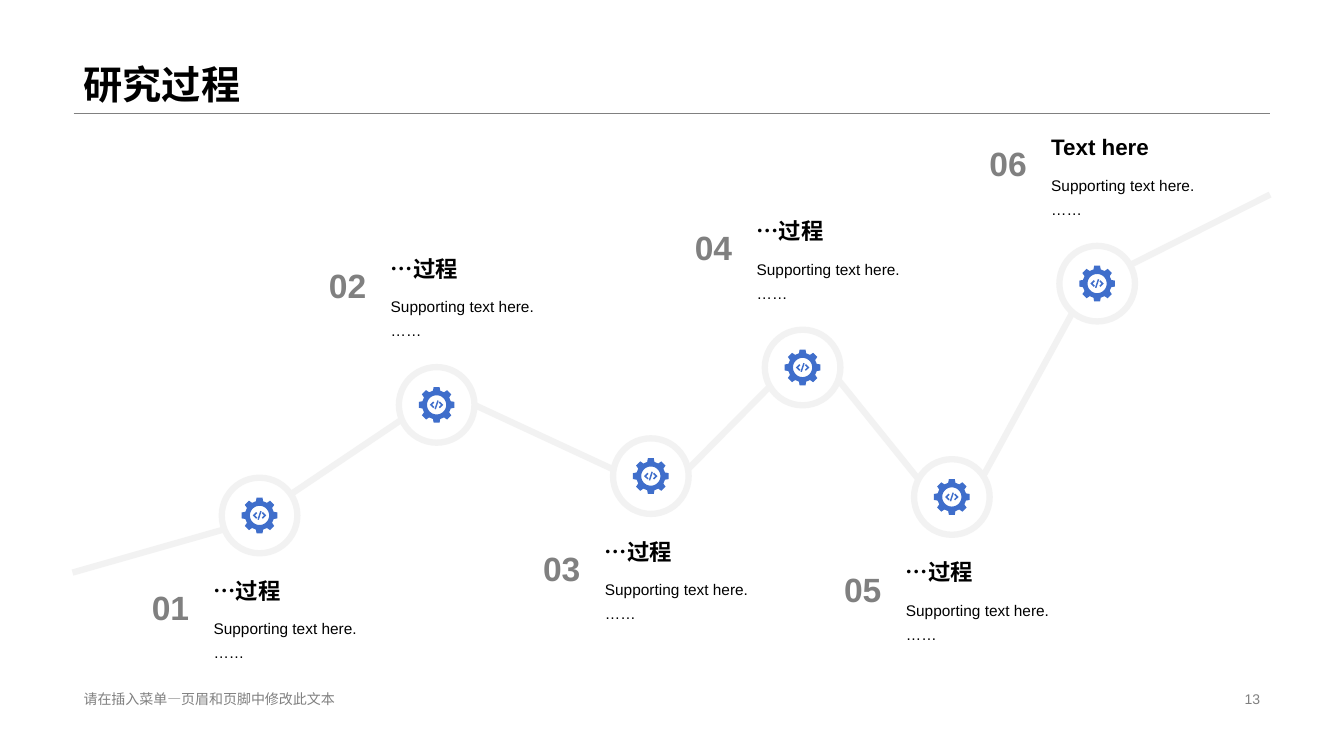
from math import cos, pi, sin

from lxml.etree import SubElement
from pptx import Presentation
from pptx.dml.color import RGBColor
from pptx.enum.shapes import MSO_CONNECTOR, MSO_SHAPE
from pptx.enum.text import MSO_ANCHOR, MSO_AUTO_SIZE, PP_ALIGN
from pptx.oxml.ns import qn
from pptx.util import Pt

COLORS = {"text": "000000", "muted": "808080", "path": "F2F2F2", "gear": "3F6ECB"}
FONT = "Arial"
MARGIN, CONTENT_W = 52.6, 854.6
NODE_SIZE = 54

STEPS = [
    (185.4, 368.2, "…过程", "below"),
    (311.9, 289.2, "…过程", "above"),
    (464.9, 340.1, "…过程", "below"),
    (573.3, 262.5, "…过程", "above"),
    (679.9, 355, "…过程", "below"),
    (783.7, 202.6, "Text here", "above"),
]
SEGMENTS = [
    (51.8, 409, 160.6, 378),
    (208.1, 352.8, 287.3, 299.5),
    (337.7, 288.7, 438.5, 335.5),
    (491.8, 334.8, 550.1, 275.8),
    (598.3, 270.7, 655.2, 341.3),
    (702, 340.6, 766.1, 223.2),
    (807.1, 189.4, 907.2, 139),
]


def rgb(name):
    """Return the palette colour called name."""
    return RGBColor.from_string(COLORS[name])


def write(tf, lines, size, color="text", bold=False, align=PP_ALIGN.LEFT,
          anchor=MSO_ANCHOR.TOP, spacing=None):
    """Fill a text frame with one paragraph per line."""
    tf.word_wrap = True
    tf.auto_size = MSO_AUTO_SIZE.NONE
    tf.vertical_anchor = anchor
    for i, line in enumerate(lines):
        p = tf.add_paragraph() if i else tf.paragraphs[0]
        p.alignment = align
        p.line_spacing = spacing
        r = p.add_run()
        r.text = line
        r.font.name = FONT
        r.font.size = Pt(size)
        r.font.bold = bold
        r.font.color.rgb = rgb(color)


def add_text(s, x, y, w, h, lines, size, **style):
    """Add a text box at the given place."""
    sp = s.shapes.add_textbox(Pt(x), Pt(y), Pt(w), Pt(h))
    write(sp.text_frame, lines, size, **style)


def add_line(s, x1, y1, x2, y2, color, width):
    """Add a straight line without shadow."""
    line = s.shapes.add_connector(MSO_CONNECTOR.STRAIGHT, Pt(x1), Pt(y1), Pt(x2), Pt(y2))
    line.line.color.rgb = rgb(color)
    line.line.width = Pt(width)
    SubElement(line._element.spPr, qn("a:effectLst"))


def add_header(s, x, y, w, h):
    """Place the title and the rule under it."""
    add_line(s, x, y + h, x + w, y + h, "muted", 0.25)
    sp = s.shapes.title
    sp.left, sp.top, sp.width, sp.height = Pt(x), Pt(y), Pt(w), Pt(h)
    write(sp.text_frame, ["研究过程"], 28, bold=True, anchor=MSO_ANCHOR.BOTTOM, spacing=0.9)


def add_footer(s, x, y, w, h):
    """Place the footer text and the page number."""
    number_w = 229
    add_text(s, x, y, 326, h, ["请在插入菜单—页眉和页脚中修改此文本"], 10,
             color="muted", anchor=MSO_ANCHOR.MIDDLE)
    add_text(s, x + w - number_w, y, number_w, h, ["13"], 10,
             color="muted", align=PP_ALIGN.RIGHT, anchor=MSO_ANCHOR.MIDDLE)


def gear_contours():
    """Return the outlines of a code gear centred on the origin."""
    tooth = [(-2.6, -10.1), (-2.1, -12.75), (2.1, -12.75), (2.6, -10.1)]
    turns = [k * pi / 4 for k in range(8)]
    teeth = [(x * cos(a) - y * sin(a), x * sin(a) + y * cos(a)) for a in turns for x, y in tooth]
    hole = [(6.85 * cos(k * pi / 24), -6.85 * sin(k * pi / 24)) for k in range(48)]
    right = [(2.4, -2.4), (4.8, 0), (2.4, 2.4), (1.6, 1.6), (3.2, 0), (1.6, -1.6)]
    left = [(-x, y) for x, y in reversed(right)]
    slash = [(0.5, -3.2), (1.5, -2.9), (-0.5, 3.2), (-1.5, 2.9)]
    return [teeth, hole, right, left, slash]


def add_gear(s, cx, cy):
    """Draw a gear with a code sign, centred on a point."""
    fb = None
    for contour in gear_contours():
        points = [(Pt(cx + x), Pt(cy + y)) for x, y in contour]
        if fb is None:
            fb = s.shapes.build_freeform(*points[0])
        else:
            fb.move_to(*points[0])
        fb.add_line_segments(points[1:], close=True)
    sp = fb.convert_to_shape()
    sp.shadow.inherit = False
    sp.fill.solid()
    sp.fill.fore_color.rgb = rgb("gear")
    sp.line.fill.background()


def add_node(s, cx, cy):
    """Draw a ring with a gear inside."""
    sp = s.shapes.add_shape(MSO_SHAPE.OVAL, Pt(cx - NODE_SIZE / 2), Pt(cy - NODE_SIZE / 2),
                            Pt(NODE_SIZE), Pt(NODE_SIZE))
    sp.shadow.inherit = False
    sp.fill.background()
    sp.line.color.rgb = rgb("path")
    sp.line.width = Pt(4.5)
    add_gear(s, cx, cy)


def add_label(s, x, y, number, heading):
    """Place a step's heading, supporting text and number."""
    text_x, text_w = x + 45.3, 125.3
    add_text(s, text_x, y, text_w, 28.9, [heading], 16, bold=True, anchor=MSO_ANCHOR.BOTTOM)
    add_text(s, text_x, y + 28.9, text_w, 47.5, ["Supporting text here.", "……"], 11, spacing=1.3)
    add_text(s, x, y + 7.8, 43.2, 39.6, [f"{number:02d}"], 24, color="muted", bold=True,
             align=PP_ALIGN.CENTER, anchor=MSO_ANCHOR.MIDDLE)


def add_process(s):
    """Draw the path with its nodes and labels."""
    for segment in SEGMENTS:
        add_line(s, *segment, "path", 4.5)
    label_dy = {"below": 37.8, "above": -113.4}
    for number, (cx, cy, heading, side) in enumerate(STEPS, 1):
        add_node(s, cx, cy)
        add_label(s, cx - 85.2, cy + label_dy[side], number, heading)


def main():
    """Build the slide and save it."""
    prs = Presentation()
    prs.slide_width, prs.slide_height = Pt(960), Pt(540)
    s = prs.slides.add_slide(prs.slide_layouts[5])
    add_header(s, MARGIN, 0, CONTENT_W, 80.9)
    add_footer(s, MARGIN, 491, CONTENT_W, 16.6)
    add_process(s)
    prs.save("out.pptx")


if __name__ == "__main__":
    main()
